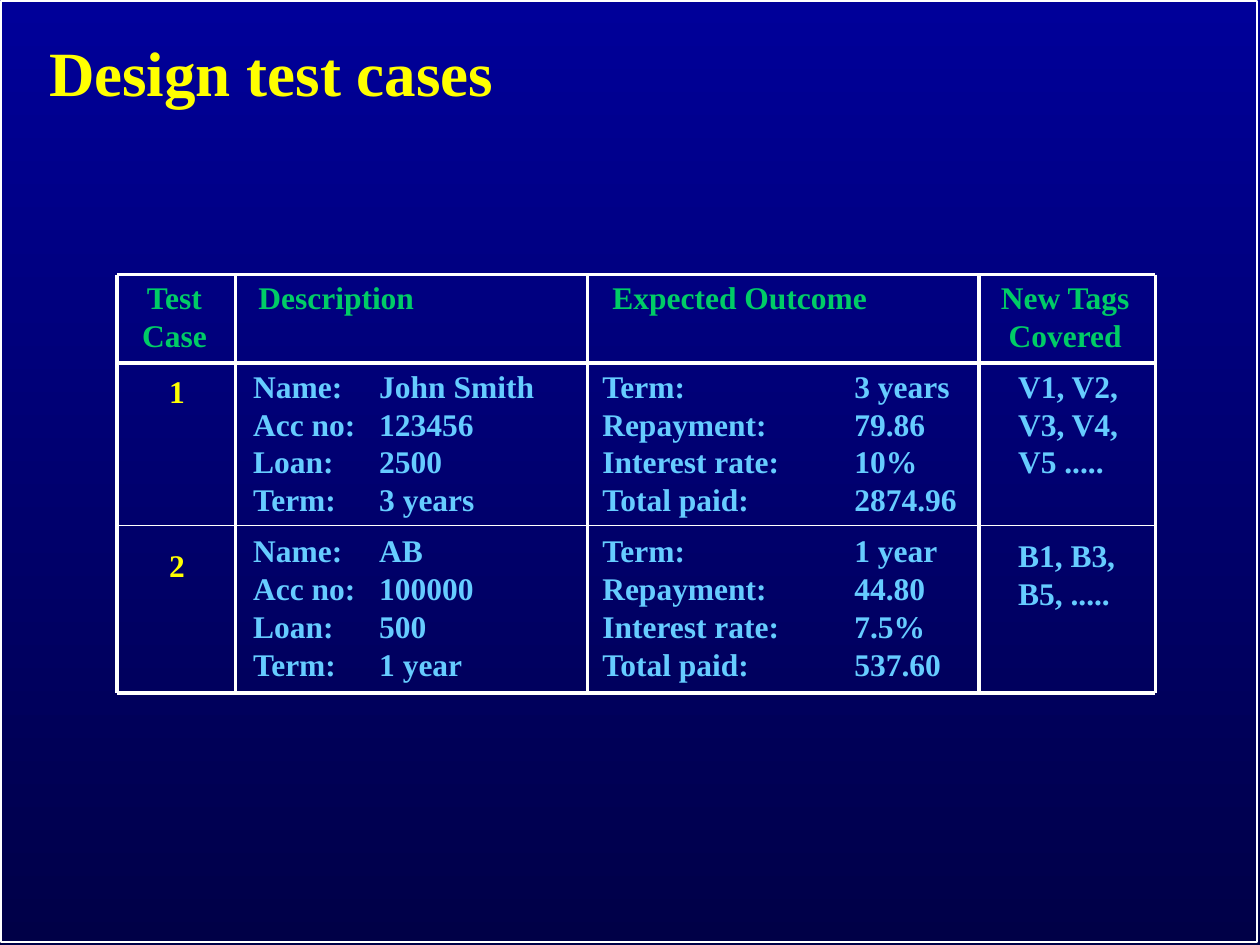
"""Build the "Design test cases" slide."""
from dataclasses import dataclass
from itertools import accumulate

from lxml import etree
from pptx import Presentation
from pptx import util as u
from pptx.dml.color import RGBColor
from pptx.enum import shapes, text
from pptx.oxml import ns


@dataclass(frozen=True)
class Theme:
    """Colours, font and sizes of the slide."""
    top: str = "000099"
    bottom: str = "000047"
    line: str = "FFFFFF"
    title: str = "FFFF00"
    header: str = "00CC66"
    body: str = "66CCFF"
    font: str = "Times New Roman"
    title_size: float = 36
    table_size: float = 18
    table_leading: float = 21.6


THEME = Theme()
CENTER, LEFT = text.PP_ALIGN.CENTER, text.PP_ALIGN.LEFT
TABLE_LEFT, TABLE_TOP = 67, 157
COLUMN_WIDTHS = (67.7, 200.9, 223.9, 100.8)
ROW_HEIGHTS = (50.4, 92.9, 95.8)
RULE_WIDTHS = (2, 2, 1, 2)
TAB_STOPS = (72, 144)
HEADERS = (["Test", "Case"], ["Description"], ["Expected Outcome"], ["New Tags", "Covered"])
TEST_CASES = (
    (["1"],
     ["Name:\tJohn Smith", "Acc no:\t123456", "Loan:\t2500", "Term:\t3 years"],
     ["Term:\t\t3 years", "Repayment:\t79.86", "Interest rate:\t10%", "Total paid:\t2874.96"],
     ["V1, V2,", "V3, V4,\nV5 ....."]),
    (["2"],
     ["Name:\tAB", "Acc no:\t100000", "Loan:\t500", "Term:\t1 year"],
     ["Term:\t\t1 year", "Repayment:\t44.80", "Interest rate:\t7.5%", "Total paid:\t537.60"],
     ["B1, B3,", "B5, ....."]),
)
HEADER_ALIGN = (CENTER, LEFT, LEFT, CENTER)
HEADER_INDENTS = (0, 13, 14.4, 0)
BODY_ALIGN = (CENTER, LEFT, LEFT, LEFT)
BODY_INDENTS = (0.6, 10, 8.6, 22.3)
BODY_COLORS = (THEME.title, THEME.body, THEME.body, THEME.body)
BODY_TOPS = ((5.5, 2.5, 2.5, 2.5), (12, 3.6, 3.6, 6.2))


def color(value):
    """Return the colour for a hex value."""
    return RGBColor.from_string(value)


def add_run(paragraph, words, size, rgb):
    """Add one bold run to a paragraph."""
    run = paragraph.add_run()
    run.text = words
    font = run.font
    font.name, font.size, font.bold = THEME.font, u.Pt(size), True
    font.color.rgb = color(rgb)


def add_tabs(paragraph):
    """Give a paragraph the tab stops of the table."""
    tabs = etree.SubElement(paragraph._p.get_or_add_pPr(), ns.qn("a:tabLst"))
    for stop in TAB_STOPS:
        etree.SubElement(tabs, ns.qn("a:tab"), pos=str(u.Pt(stop)), algn="l")


def paint_background(slide):
    """Fill the background with a vertical gradient."""
    fill = slide.background.fill
    fill.gradient()
    fill.gradient_angle = 270
    for position, (stop, rgb) in enumerate(zip(fill.gradient_stops, (THEME.top, THEME.bottom))):
        stop.position = position
        stop.color.rgb = color(rgb)


def add_frame(slide):
    """Outline the slide."""
    frame = slide.shapes.add_shape(
        shapes.MSO_SHAPE.RECTANGLE, u.Pt(0.6), u.Pt(0.6), u.Pt(717.8), u.Pt(537.8))
    frame.shadow.inherit = False
    frame.fill.background()
    frame.line.color.rgb = color(THEME.line)
    frame.line.width = u.Pt(1)


def set_title(slide, words):
    """Place and format the title."""
    title = slide.shapes.title
    title.left, title.top, title.width, title.height = (
        u.Pt(value) for value in (21.8, 21.8, 266.4, 43.2))
    frame = title.text_frame
    frame.word_wrap = False
    frame.auto_size = text.MSO_AUTO_SIZE.NONE
    frame.margin_left = frame.margin_right = u.Pt(5)
    frame.margin_top = frame.margin_bottom = u.Pt(2)
    paragraph = frame.paragraphs[0]
    paragraph.alignment = CENTER
    paragraph.line_spacing = 0.9
    add_run(paragraph, words, THEME.title_size, THEME.title)


def clear_cell(cell):
    """Remove the borders and the fill of a cell."""
    properties = cell._tc.get_or_add_tcPr()
    for side in "LRTB":
        line = etree.SubElement(properties, ns.qn(f"a:ln{side}"))
        etree.SubElement(line, ns.qn("a:noFill"))
    cell.fill.background()


def fill_cell(cell, lines, rgb, alignment, indent, top, right=0):
    """Write the lines of a cell, one paragraph each."""
    clear_cell(cell)
    cell.margin_left, cell.margin_top = u.Pt(indent), u.Pt(top)
    cell.margin_right, cell.margin_bottom = u.Pt(right), 0
    frame = cell.text_frame
    for index, line in enumerate(lines):
        paragraph = frame.add_paragraph() if index else frame.paragraphs[0]
        add_tabs(paragraph)
        paragraph.alignment = alignment
        paragraph.line_spacing = u.Pt(THEME.table_leading)
        for part_index, part in enumerate(line.split("\n")):
            if part_index:
                paragraph.add_line_break()
            add_run(paragraph, part, THEME.table_size, rgb)


def add_test_table(slide):
    """Add the table of test cases."""
    shape = slide.shapes.add_table(
        len(ROW_HEIGHTS), len(COLUMN_WIDTHS), u.Pt(TABLE_LEFT), u.Pt(TABLE_TOP),
        u.Pt(sum(COLUMN_WIDTHS)), u.Pt(sum(ROW_HEIGHTS)))
    table = shape.table
    table.first_row = table.horz_banding = False
    for column, width in zip(table.columns, COLUMN_WIDTHS):
        column.width = u.Pt(width)
    for row, height in zip(table.rows, ROW_HEIGHTS):
        row.height = u.Pt(height)
    for column, lines in enumerate(HEADERS):
        fill_cell(table.cell(0, column), lines, THEME.header,
                  HEADER_ALIGN[column], HEADER_INDENTS[column], 2.4, right=2.4)
    for row, (case, tops) in enumerate(zip(TEST_CASES, BODY_TOPS), 1):
        for column, lines in enumerate(case):
            fill_cell(table.cell(row, column), lines, BODY_COLORS[column],
                      BODY_ALIGN[column], BODY_INDENTS[column], tops[column])


def add_rule(slide, start, end, width):
    """Draw a straight rule between two points."""
    rule = slide.shapes.add_connector(
        shapes.MSO_CONNECTOR.STRAIGHT, *(u.Pt(value) for value in (*start, *end)))
    rule.line.color.rgb = color(THEME.line)
    rule.line.width = u.Pt(width)
    etree.SubElement(rule._element.spPr, ns.qn("a:effectLst"))


def add_rules(slide):
    """Rule the edges of all rows and columns."""
    xs = list(accumulate(COLUMN_WIDTHS, initial=TABLE_LEFT))
    ys = list(accumulate(ROW_HEIGHTS, initial=TABLE_TOP))
    for y, width in zip(ys, RULE_WIDTHS):
        add_rule(slide, (xs[0], y), (xs[-1], y), width)
    for x in xs:
        add_rule(slide, (x, ys[0]), (x, ys[-1]), 2)


def main():
    """Build and save the presentation."""
    presentation = Presentation()
    presentation.slide_width, presentation.slide_height = u.Pt(720), u.Pt(540)
    slide = presentation.slides.add_slide(presentation.slide_layouts[5])
    paint_background(slide)
    add_frame(slide)
    set_title(slide, "Design test cases")
    add_test_table(slide)
    add_rules(slide)
    presentation.save("out.pptx")


if __name__ == "__main__":
    main()
